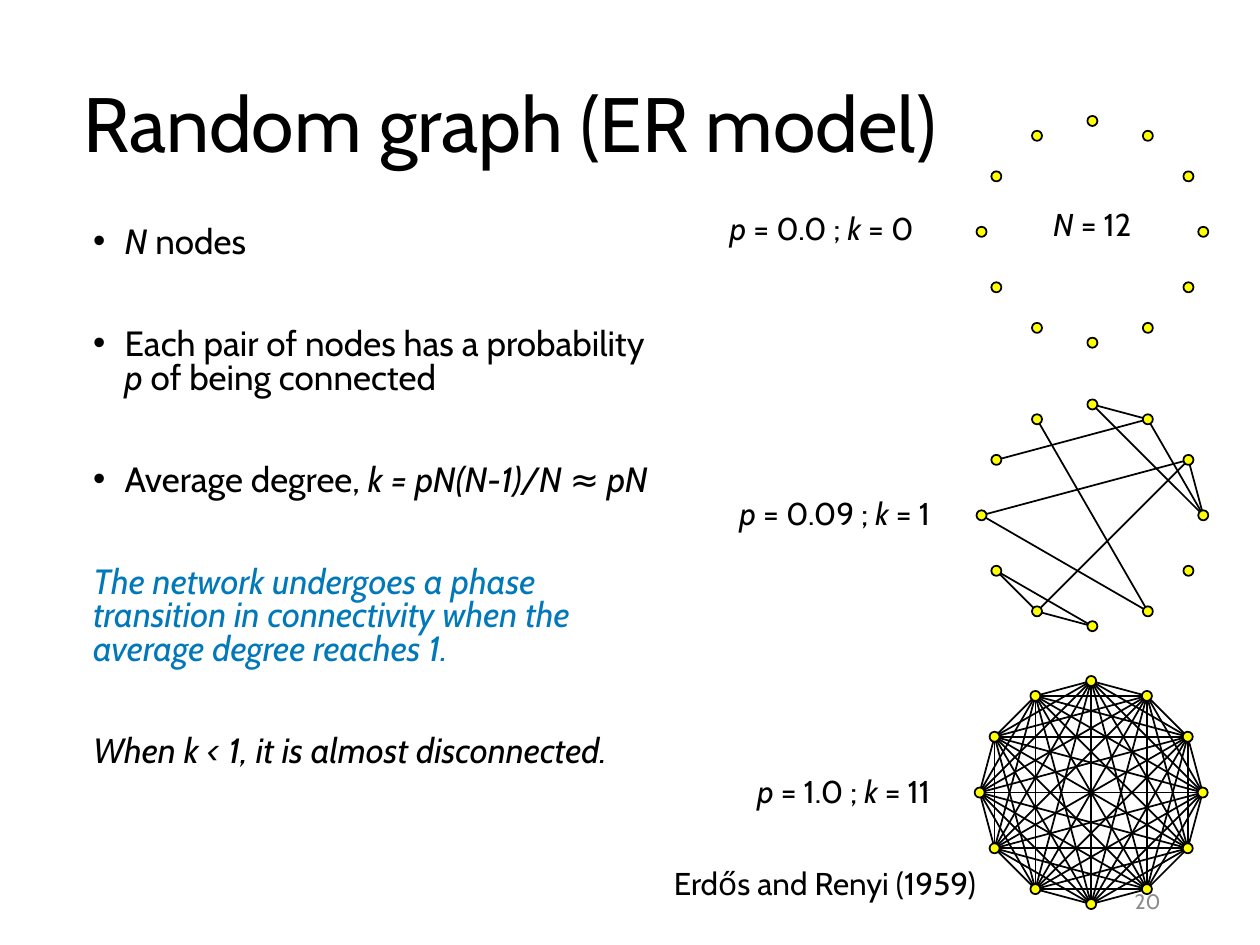
from dataclasses import dataclass
from itertools import combinations
from math import cos, pi, sin

from lxml.etree import SubElement
from pptx import Presentation
from pptx.dml.color import RGBColor
from pptx.enum.shapes import MSO_CONNECTOR, MSO_SHAPE
from pptx.enum.text import MSO_ANCHOR, MSO_AUTO_SIZE, PP_ALIGN
from pptx.oxml.ns import qn
from pptx.util import Inches, Pt


@dataclass(frozen=True)
class Theme:
    font: str = "Cabin"
    ink: RGBColor = RGBColor(0, 0, 0)
    accent: RGBColor = RGBColor(0x00, 0x78, 0xB9)
    muted: RGBColor = RGBColor(0x8C, 0x8C, 0x8C)
    node: RGBColor = RGBColor(0xFF, 0xFF, 0x00)
    title_size: float = 44
    body_size: float = 20
    label_size: float = 18
    number_size: float = 12
    stroke: float = 1


class SlideBuilder:
    COLUMNS = 100
    ROWS = 75
    NODE_COUNT = 12
    NODE_SIZE = 0.8

    def __init__(self, presentation, theme):
        self.theme = theme
        self.column = presentation.slide_width / self.COLUMNS
        self.row = presentation.slide_height / self.ROWS
        self.slide = presentation.slides.add_slide(presentation.slide_layouts[5])
        self.shapes = self.slide.shapes

    def place(self, left, top, width, height):
        return (round(left * self.column), round(top * self.row),
                round(width * self.column), round(height * self.row))

    def set_text(self, paragraph, text, size, color, align=PP_ALIGN.LEFT):
        paragraph.alignment = align
        paragraph.font.name = self.theme.font
        paragraph.font.size = Pt(size)
        paragraph.font.color.rgb = color
        pieces = [(piece, index % 2 == 1)
                  for index, piece in enumerate(text.split("*")) if piece]
        for piece, italic in pieces:
            run = paragraph.add_run()
            run.text = piece
            if len(pieces) == 1:
                paragraph.font.italic = italic
            else:
                run.font.italic = italic

    def title(self, text, area):
        shape = self.slide.shapes.title
        shape.left, shape.top, shape.width, shape.height = self.place(*area)
        frame = shape.text_frame
        frame.auto_size = MSO_AUTO_SIZE.NONE
        frame.vertical_anchor = MSO_ANCHOR.MIDDLE
        paragraph = frame.paragraphs[0]
        paragraph.line_spacing = 0.9
        self.set_text(paragraph, text, self.theme.title_size, self.theme.ink)

    def body(self, items, area):
        frame = self.slide.shapes.add_textbox(*self.place(*area)).text_frame
        frame.word_wrap = True
        for index, (text, bulleted, color) in enumerate(items):
            paragraph = frame.add_paragraph() if index else frame.paragraphs[0]
            paragraph.line_spacing = 0.8
            if index:
                paragraph.space_before = Pt(39)
            if bulleted:
                self.bullet(paragraph)
            self.set_text(paragraph, text, self.theme.body_size, color)

    def bullet(self, paragraph):
        properties = paragraph._p.get_or_add_pPr()
        properties.set("marL", str(Inches(0.25)))
        properties.set("indent", str(-Inches(0.25)))
        SubElement(properties, qn("a:buFont"), typeface="Arial")
        SubElement(properties, qn("a:buChar"), char="•")

    def label(self, text, area, align=PP_ALIGN.LEFT):
        frame = self.shapes.add_textbox(*self.place(*area)).text_frame
        frame.word_wrap = False
        frame.auto_size = MSO_AUTO_SIZE.SHAPE_TO_FIT_TEXT
        self.set_text(frame.paragraphs[0], text, self.theme.label_size,
                      self.theme.ink, align)

    def page_number(self, text, area):
        frame = self.slide.shapes.add_textbox(*self.place(*area)).text_frame
        frame.word_wrap = True
        frame.vertical_anchor = MSO_ANCHOR.MIDDLE
        self.set_text(frame.paragraphs[0], text, self.theme.number_size,
                      self.theme.muted, PP_ALIGN.RIGHT)

    def edge(self, start, end):
        connector = self.shapes.add_connector(
            MSO_CONNECTOR.STRAIGHT, *self.place(*start, *end))
        connector.line.color.rgb = self.theme.ink
        connector.line.width = Pt(self.theme.stroke)
        SubElement(connector._element.spPr, qn("a:effectLst"))

    def node(self, x, y):
        size = self.NODE_SIZE
        shape = self.shapes.add_shape(
            MSO_SHAPE.OVAL, *self.place(x - size / 2, y - size / 2, size, size))
        shape.shadow.inherit = False
        shape.fill.solid()
        shape.fill.fore_color.rgb = self.theme.node
        shape.line.color.rgb = self.theme.ink
        shape.line.width = Pt(self.theme.stroke)

    def network(self, center_x, center_y, radius, edges, labels):
        self.shapes = self.slide.shapes.add_group_shape().shapes
        angles = [2 * pi * index / self.NODE_COUNT for index in range(self.NODE_COUNT)]
        points = [(center_x + radius * sin(angle), center_y - radius * cos(angle))
                  for angle in angles]
        for first, second in edges:
            self.edge(points[first], points[second])
        for point in points:
            self.node(*point)
        for label in labels:
            self.label(*label)
        self.shapes = self.slide.shapes


def main():
    presentation = Presentation()
    presentation.slide_width = Inches(10)
    presentation.slide_height = Inches(7.5)
    theme = Theme()
    builder = SlideBuilder(presentation, theme)

    builder.title("Random graph (ER model)", (5.6, 3.9, 85, 12.5))
    builder.body([
        ("*N* nodes", True, theme.ink),
        ("Each pair of nodes has a probability *p* of being connected", True, theme.ink),
        ("Average degree, *k = pN(N-1)/N *≈ *pN*", True, theme.ink),
        ("*The network undergoes a phase transition in connectivity "
         "when the average degree reaches 1.*", False, theme.accent),
        ("*When k < 1, it is almost disconnected.*", False, theme.ink),
    ], (6.4, 17.6, 46.7, 49.2))
    builder.label("Erdős and Renyi (1959)", (52.5, 68.1, 26.6, 4))

    sparse_edges = [(0, 1), (0, 3), (1, 3), (1, 10), (2, 3), (2, 7),
                    (2, 9), (5, 9), (5, 11), (6, 7), (6, 8), (7, 8)]
    complete_edges = list(combinations(range(builder.NODE_COUNT), 2))
    builder.network(86.7, 18.4, 8.8, [], [
        ("*p* = 0.0 ; *k* = 0", (55.1, 16.1, 18.4, 4), PP_ALIGN.RIGHT),
        ("*N* = 12", (82.6, 15.8, 9.8, 4)),
    ])
    builder.network(86.7, 40.9, 8.8, sparse_edges, [
        ("*p* = 0.09 ; *k* = 1", (55.2, 38.7, 19.6, 4), PP_ALIGN.RIGHT),
    ])
    builder.network(86.6, 62.9, 8.85, complete_edges, [
        ("*p* = 1.0 ; *k* = 11", (57.9, 60.8, 16.9, 4), PP_ALIGN.RIGHT),
    ])
    builder.page_number("20", (70.6, 69.5, 22.5, 4))
    presentation.save("out.pptx")


if __name__ == "__main__":
    main()
